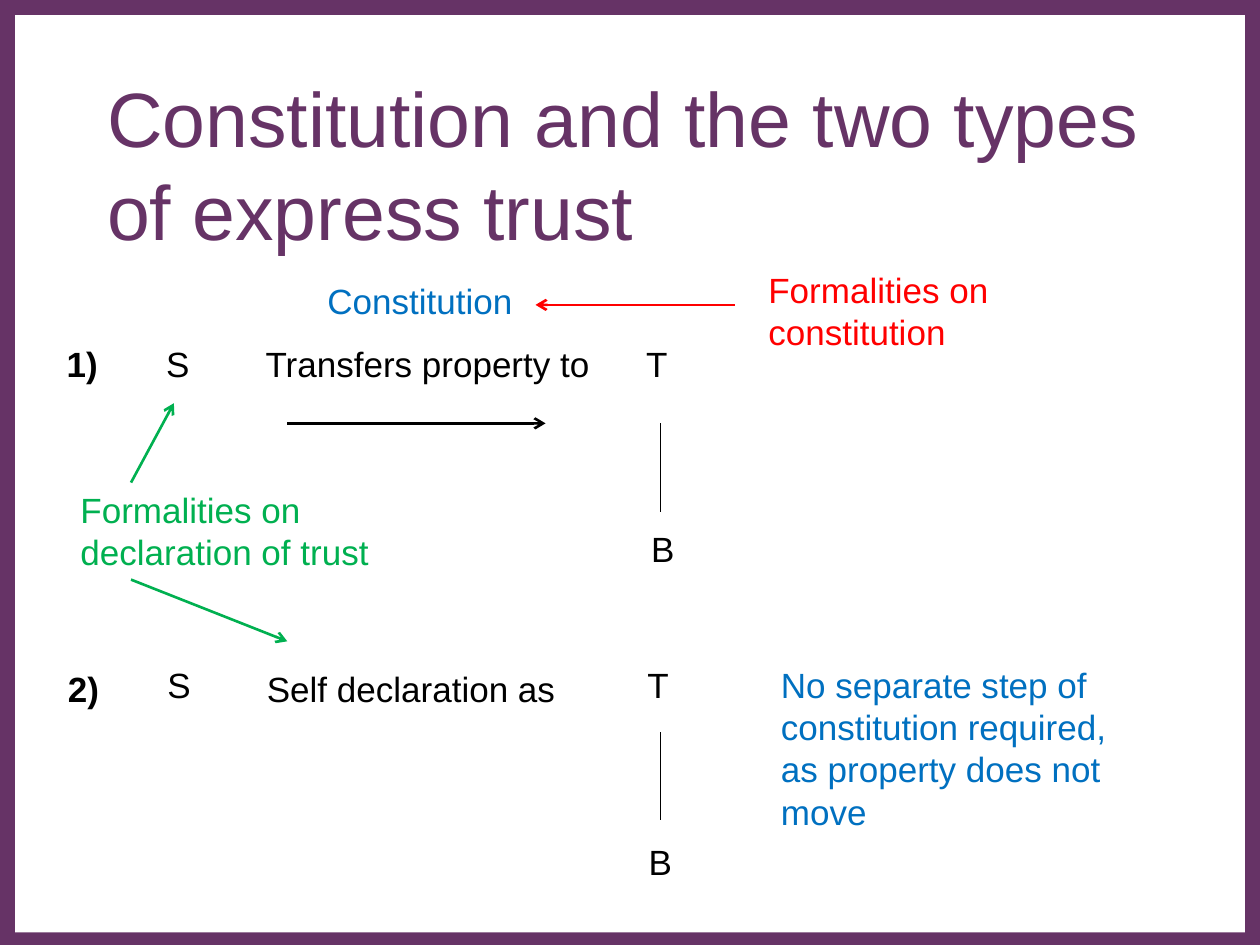
import pptx
import pptx.dml.color
import pptx.enum.shapes
import pptx.enum.text
import pptx.oxml.ns
import pptx.util
from lxml import etree

RGBColor = pptx.dml.color.RGBColor
PURPLE = RGBColor(0x66, 0x33, 0x66)
WHITE = RGBColor(0xFF, 0xFF, 0xFF)
BLACK = RGBColor(0x00, 0x00, 0x00)
BLUE = RGBColor(0x00, 0x70, 0xC0)
GREEN = RGBColor(0x00, 0xB0, 0x50)
RED = RGBColor(0xFF, 0x00, 0x00)

FONT = "Arial"
EMU_PER_PX = 9144  # 100 px to the inch
LINE_HEIGHT = 44


def px(length):
    return pptx.util.Emu(length * EMU_PER_PX)


def write(box, text, size, color, bold=False):
    box.text_frame.word_wrap = True
    span = box.text_frame.paragraphs[0].add_run()
    span.text = text
    span.font.name = FONT
    span.font.size = pptx.util.Pt(size)
    span.font.bold = bold
    span.font.color.rgb = color


def add_label(page, text, left, top, width, height=LINE_HEIGHT, color=BLACK, bold=False):
    box = page.shapes.add_textbox(px(left), px(top), px(width), px(height))
    write(box, text, 20, color, bold)


def add_line(page, start, end, color=BLACK, arrow=True):
    line = page.shapes.add_connector(
        pptx.enum.shapes.MSO_CONNECTOR.STRAIGHT,
        px(start[0]), px(start[1]), px(end[0]), px(end[1]))
    line.line.color.rgb = color
    line.line.width = pptx.util.Pt(1.5 if arrow else 0.75)
    qn = pptx.oxml.ns.qn
    if arrow:
        etree.SubElement(line.line._get_or_add_ln(), qn("a:tailEnd"), type="arrow")
    etree.SubElement(line._element.spPr, qn("a:effectLst"))


def add_frame(page, left, top, width, height, border=12):
    # Purple sheet with a white sheet inset on it
    for inset, color in ((0, PURPLE), (border, WHITE)):
        sheet = page.shapes.add_shape(
            pptx.enum.shapes.MSO_SHAPE.RECTANGLE,
            px(left + inset), px(top + inset),
            px(width - 2 * inset), px(height - 2 * inset))
        sheet.shadow.inherit = False
        sheet.fill.solid()
        sheet.fill.fore_color.rgb = color
        sheet.line.fill.background()


def add_title(page, left, top, width, height):
    title = page.shapes.title
    title.left, title.top = px(left), px(top)
    title.width, title.height = px(width), px(height)
    write(title, "Constitution and the two types of express trust", 44, PURPLE)
    title.text_frame.vertical_anchor = pptx.enum.text.MSO_ANCHOR.MIDDLE
    title.text_frame.paragraphs[0].alignment = pptx.enum.text.PP_ALIGN.LEFT
    # Bring the title in front of the frame
    title._element.getparent().append(title._element)


def add_trust(page, left, top, number, action, action_top=0):
    # Number, settlor, action and trustee in a row, with the beneficiary below
    add_label(page, number, left, top + action_top, 51, bold=True)
    add_label(page, "S", left + 79, top, 126)
    add_label(page, action, left + 158, top + action_top, 306)
    add_label(page, "T", left + 460, top, 126)


def add_beneficiary(page, left, line_top, label_left, label_top):
    add_line(page, (left, line_top), (left, line_top + 70), arrow=False)
    add_label(page, "B", label_left, label_top, 126)


def add_transfer(page, left, top):
    add_trust(page, left, top, "1)", "Transfers property to")
    add_line(page, (left + 185, top + 69), (left + 390, top + 69))
    add_beneficiary(page, left + 481, top + 69, left + 464, top + 147)


def add_self_declaration(page, left, top):
    add_trust(page, left, top, "2)", "Self declaration as", action_top=3)
    add_beneficiary(page, left + 480, top + 59, left + 461, top + 140)
    add_label(page, "No separate step of constitution required, as property does not move",
              left + 566, top, 306, 145, BLUE)


def add_constitution(page, left, top):
    add_label(page, "Constitution", left, top + 9, 183, color=BLUE)
    add_line(page, (left + 333, top + 34), (left + 175, top + 34), RED)
    add_label(page, "Formalities on constitution", left + 350, top, 306, 77, RED)


def add_declaration(page, left, top):
    # One note with an arrow to each type of trust
    add_label(page, "Formalities on declaration of trust", left, top, 306, 77, GREEN)
    add_line(page, (left + 50, top), (left + 84, top - 63), GREEN)
    add_line(page, (left + 50, top + 77), (left + 174, top + 126), GREEN)


def main():
    deck = pptx.Presentation()
    deck.slide_width, deck.slide_height = px(1000), px(750)
    page = deck.slides.add_slide(deck.slide_layouts[5])
    add_frame(page, 0, 0, 1000, 752)
    add_title(page, 75, 67, 850, 125)
    add_transfer(page, 43, 267)
    add_self_declaration(page, 44, 522)
    add_constitution(page, 250, 208)
    add_declaration(page, 54, 383)
    deck.save("out.pptx")


if __name__ == "__main__":
    main()
